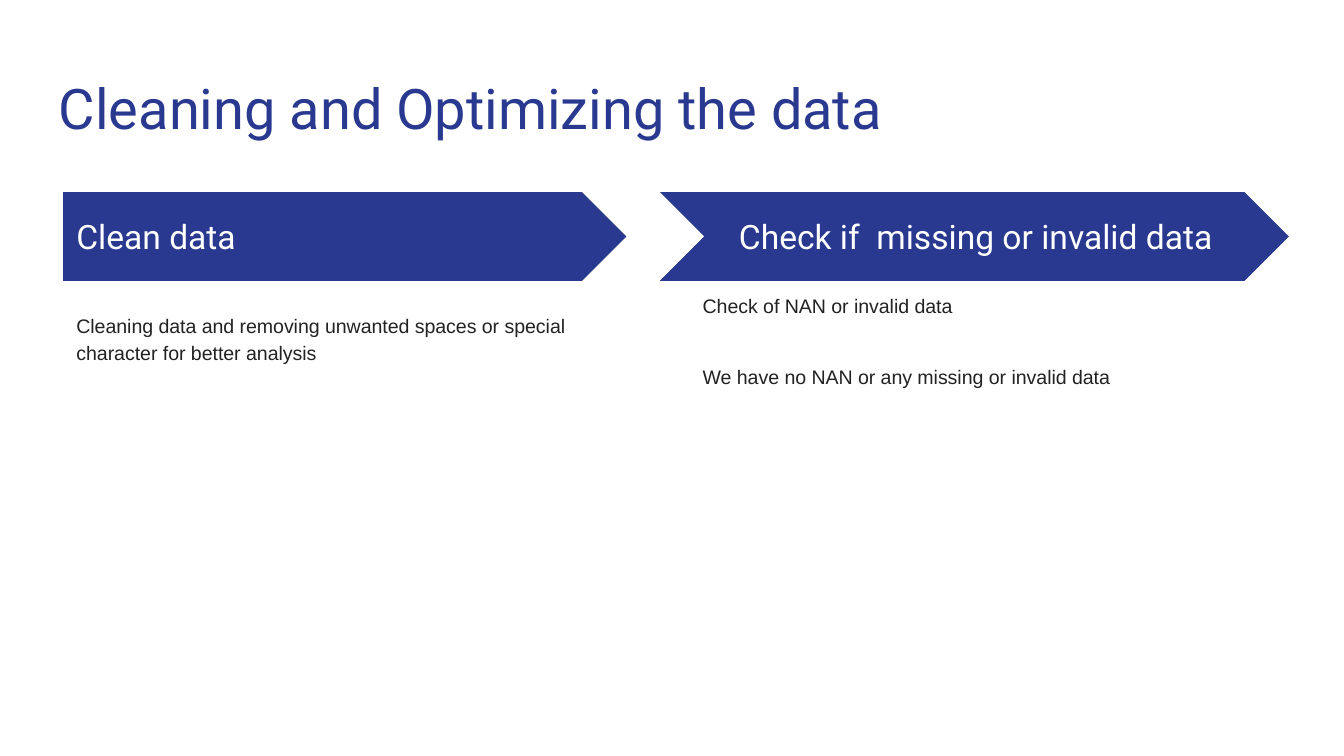
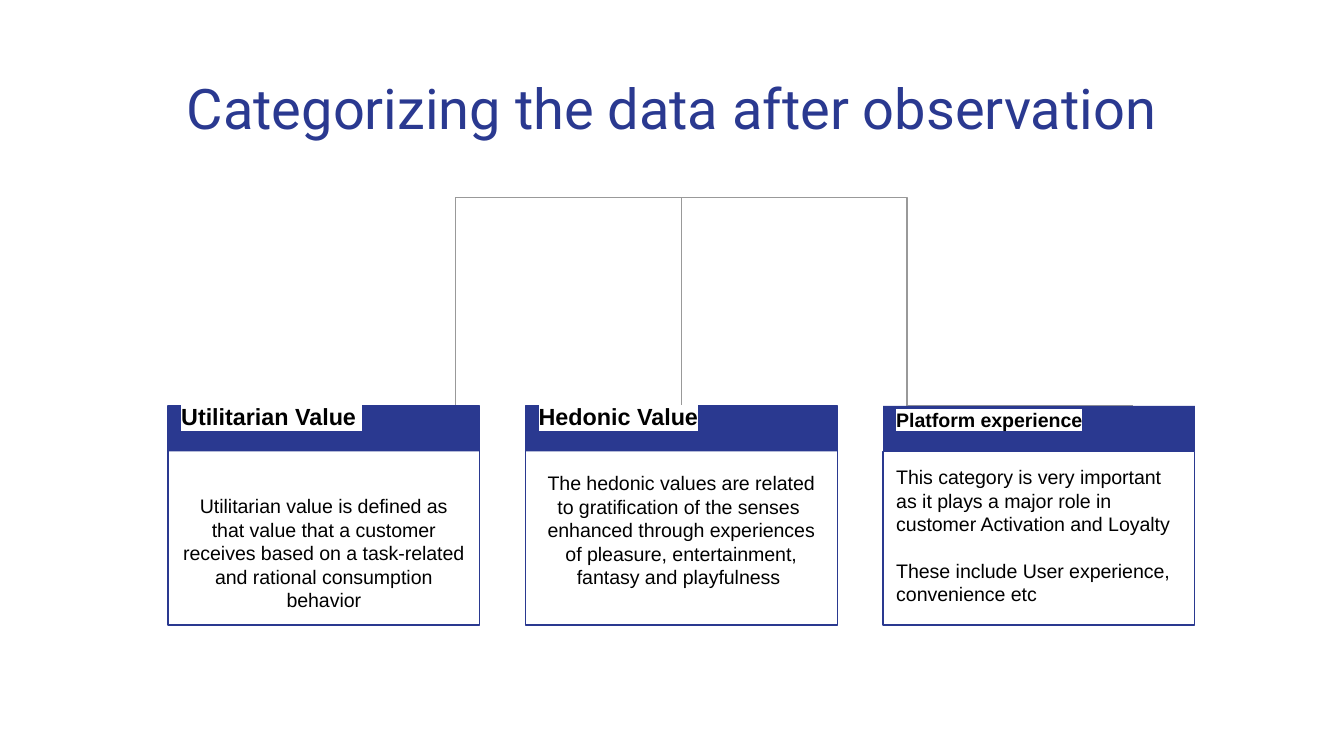
from lxml.etree import SubElement
from pptx import Presentation
from pptx.dml.color import RGBColor
from pptx.enum.shapes import MSO_CONNECTOR, MSO_SHAPE
from pptx.enum.text import MSO_ANCHOR, PP_ALIGN
from pptx.oxml.ns import qn
from pptx.util import Inches, Pt

NAVY, WHITE, BLACK = "2A3990", "FFFFFF", "000000"
CHARCOAL, GREY = "222222", "999999"
HEADING_FONT, BODY_FONT = "Roboto", "Arial"
SLIDE_WIDTH = 10
SLIDE_HEIGHT = SLIDE_WIDTH * 9 / 16
INSET = 0.1
CARD_WIDTH, CARD_GAP, CARD_LEFT = 2.32, 0.34, 1.25
CARD_TOP, CARD_BOTTOM, BAND_HEIGHT = 3.02, 4.65, 0.34


def rgb(value):
    """Turn a hex string into a colour."""
    return RGBColor.from_string(value)


def highlight(run, color):
    """Put a highlight colour behind a run."""
    properties = run._r.get_or_add_rPr()
    mark = SubElement(properties, qn("a:highlight"))
    SubElement(mark, qn("a:srgbClr"), val=color)
    properties.find(qn("a:solidFill")).addnext(mark)


def write_text(shape, text, size=10.5, font=BODY_FONT, color=BLACK, bold=False,
               align=PP_ALIGN.LEFT, anchor=MSO_ANCHOR.TOP, marked=False,
               top_inset=INSET, bottom_inset=INSET, gap=0, line_spacing=None):
    """Write one paragraph per line of text, with a gap between paragraphs."""
    frame = shape.text_frame
    frame.word_wrap = True
    frame.vertical_anchor = anchor
    frame.margin_left = frame.margin_right = Inches(INSET)
    frame.margin_top, frame.margin_bottom = Inches(top_inset), Inches(bottom_inset)
    for index, line in enumerate(text.split("\n")):
        paragraph = frame.add_paragraph() if index else frame.paragraphs[0]
        paragraph.alignment = align
        if index and gap:
            paragraph.space_before = Pt(gap)
        if line_spacing:
            paragraph.line_spacing = line_spacing
        run = paragraph.add_run()
        run.text = line
        run.font.size, run.font.bold = Pt(size), bold
        run.font.color.rgb = rgb(color)
        run.font.name = font
        if marked:
            highlight(run, WHITE)


def add_text(slide, box, text, **text_format):
    """Add a text box at left, top, width, height."""
    write_text(slide.shapes.add_textbox(*map(Inches, box)), text, **text_format)


def add_panel(slide, kind, box, fill=None, line=None):
    """Add a preset shape with an optional fill and outline."""
    panel = slide.shapes.add_shape(kind, *map(Inches, box))
    panel.shadow.inherit = False
    if fill:
        panel.fill.solid()
        panel.fill.fore_color.rgb = rgb(fill)
    else:
        panel.fill.background()
    if line:
        panel.line.color.rgb = rgb(line)
        panel.line.width = Pt(0.75)
    else:
        panel.line.fill.background()
    return panel


def add_branch(slide, kind, start, end):
    """Add a thin grey connector between two points."""
    branch = slide.shapes.add_connector(kind, *map(Inches, start + end))
    branch.line.color.rgb = rgb(GREY)
    branch.line.width = Pt(0.75)
    SubElement(branch._element.spPr, qn("a:effectLst"))


def add_titled_slide(deck, title, align=PP_ALIGN.LEFT):
    """Add a blank-layout slide with the shared title style."""
    slide = deck.slides.add_slide(deck.slide_layouts[6])
    add_text(slide, (0.34, 0.45, 9.32, 0.66), title, size=30,
             font=HEADING_FONT, color=NAVY, align=align)
    return slide


def add_step(slide, kind, left, width, label_left, label):
    """Add one process arrow with its label."""
    add_panel(slide, kind, (left, 1.43, width, 0.66), fill=NAVY)
    add_text(slide, (label_left, 1.59, 3.83, 0.34), label, size=18,
             font=HEADING_FONT, color=WHITE, anchor=MSO_ANCHOR.MIDDLE)


def add_card(slide, left, heading, heading_size, heading_lift, body,
             body_top=CARD_TOP, **body_format):
    """Add an outlined category card with a heading band."""
    outline = add_panel(slide, MSO_SHAPE.RECTANGLE,
                        (left, body_top, CARD_WIDTH, CARD_BOTTOM - body_top), line=NAVY)
    write_text(outline, body, marked=True, **body_format)
    add_panel(slide, MSO_SHAPE.RECTANGLE,
              (left, CARD_TOP, CARD_WIDTH, BAND_HEIGHT), fill=NAVY)
    add_text(slide, (left, 3.08, CARD_WIDTH, 0.21), heading, size=heading_size,
             bold=True, marked=True, anchor=MSO_ANCHOR.MIDDLE,
             top_inset=0, bottom_inset=heading_lift)


def build_cleaning(deck):
    """Build the data cleaning slide."""
    slide = add_titled_slide(deck, "Cleaning and Optimizing the data")
    add_step(slide, MSO_SHAPE.PENTAGON, 0.47, 4.19, 0.47, "Clean data")
    add_text(slide, (0.47, 2.21, 4.02, 2.9),
             "Cleaning data and removing unwanted spaces or special character "
             "for better analysis", color=CHARCOAL, marked=True, line_spacing=1.15)
    add_step(slide, MSO_SHAPE.CHEVRON, 4.91, 4.68, 5.4, "Check if  missing or invalid data")
    add_text(slide, (5.13, 2.09, 4.25, 0.91),
             "Check of NAN or invalid data\n"
             "We have no NAN or any missing or invalid data",
             color=CHARCOAL, marked=True, gap=25)


def build_categories(deck):
    """Build the category tree slide."""
    slide = add_titled_slide(deck, "Categorizing the data after observation", PP_ALIGN.CENTER)
    root, reach = (5.07, 1.47), 3.36
    add_branch(slide, MSO_CONNECTOR.STRAIGHT, root, (root[0], CARD_TOP))
    for side in (-1, 1):
        add_branch(slide, MSO_CONNECTOR.ELBOW, root, (root[0] + side * reach, CARD_TOP))

    lefts = [CARD_LEFT + index * (CARD_WIDTH + CARD_GAP) for index in range(3)]
    centred = {"align": PP_ALIGN.CENTER, "anchor": MSO_ANCHOR.BOTTOM}
    add_card(slide, lefts[0], "Utilitarian Value ", 12.5, 0.17,
             "Utilitarian value is defined as that value that a customer receives "
             "based on a task-related and rational consumption behavior", **centred)
    add_card(slide, lefts[1], "Hedonic Value", 12.5, 0.17,
             "The hedonic values are related to gratification of the senses \n"
             "enhanced through experiences of pleasure, entertainment, fantasy "
             "and playfulness ", bottom_inset=0.27, **centred)
    add_card(slide, lefts[2], "Platform experience", 10.5, 0.13,
             "This category is very important as it plays a major role in customer "
             "Activation and Loyalty\n"
             "These include User experience, convenience etc",
             body_top=CARD_TOP + BAND_HEIGHT, gap=12.5)


def main():
    """Build and save the deck."""
    deck = Presentation()
    deck.slide_width, deck.slide_height = Inches(SLIDE_WIDTH), Inches(SLIDE_HEIGHT)
    build_cleaning(deck)
    build_categories(deck)
    deck.save("out.pptx")


if __name__ == "__main__":
    main()
